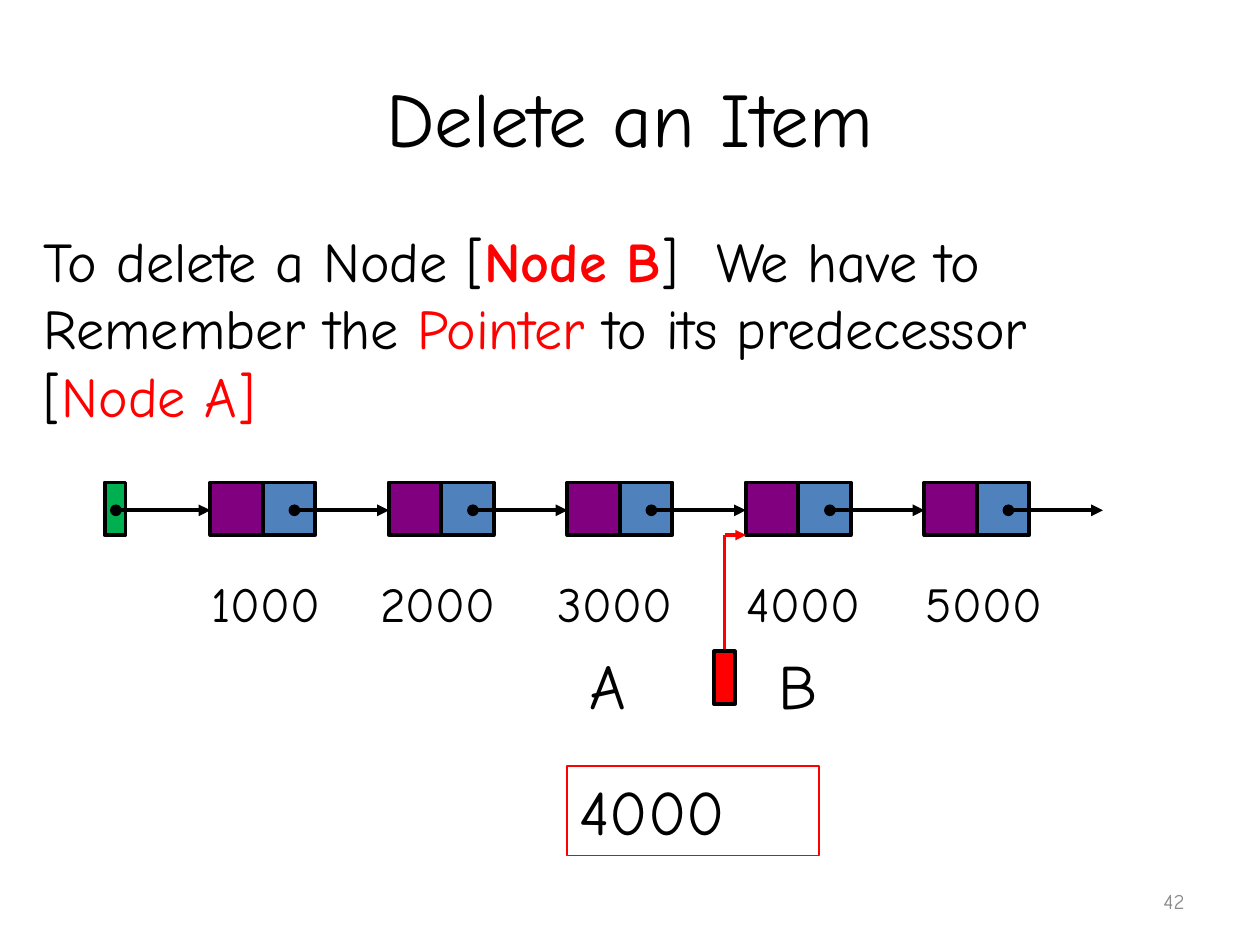
"""Builds a slide on deleting an item from a linked list."""
from lxml import etree
from pptx import Presentation
from pptx.dml.color import RGBColor
from pptx.enum.shapes import MSO_CONNECTOR, MSO_SHAPE
from pptx.enum.text import MSO_ANCHOR, PP_ALIGN
from pptx.oxml.ns import qn
from pptx.util import Inches, Pt

RECTANGLE = MSO_SHAPE.RECTANGLE
STRAIGHT = MSO_CONNECTOR.STRAIGHT
LEFT, CENTER, RIGHT = PP_ALIGN.LEFT, PP_ALIGN.CENTER, PP_ALIGN.RIGHT
TOP, MIDDLE = MSO_ANCHOR.TOP, MSO_ANCHOR.MIDDLE

THEME = {
    "font": "Comic Neue",
    "black": "000000", "red": "FF0000", "gray": "8C8C8C",
    "data": "800080", "link": "4F81BD", "start": "00B050",
    "title": 44, "body": 32, "letter": 36, "address": 28, "number": 12,
    "outline": 2.25, "pointer": 2, "frame": 0.75,
}

TITLE = "Delete an Item"
EXPLANATION = [
    ("To delete a Node [", "black", False),
    ("Node B", "red", True),
    ("]  We have to Remember the ", "black", False),
    ("Pointer", "red", False),
    (" to its predecessor [", "black", False),
    ("Node A]", "red", False),
]
ADDRESSES = [("1000", 1.58), ("2000", 2.92), ("3000", 4.33), ("4000", 5.83), ("5000", 7.25)]
LETTERS = [("A", 4.58, 0.75), ("B", 6.08, 1.25)]
STORED_ADDRESS = "4000"
PAGE_NUMBER = "42"

CELL = 5 / 12
SLIM = CELL * 0.4
FIRST_NODE, NODE_STEP, NODE_TOP = 1.67, 17 / 12, 3.83
ARROW_Y, ARROW_LENGTH = 4.05, 0.75
POINTER_X, POINTER_TOP = 5.75, 5.17
TARGET = 3

deck = Presentation()
deck.slide_width, deck.slide_height = Inches(10), Inches(7.5)
page = deck.slides.add_slide(deck.slide_layouts[6])


def color(name):
    return RGBColor.from_string(THEME[name])


def write(box, spans, size, align=LEFT, anchor=TOP):
    frame = box.text_frame
    frame.word_wrap = True
    frame.vertical_anchor = anchor
    para = frame.paragraphs[0]
    para.alignment = align
    for text, ink, bold in spans:
        span = para.add_run()
        span.text = text
        span.font.name = THEME["font"]
        span.font.size = Pt(THEME[size])
        span.font.bold = bold
        span.font.color.rgb = color(ink)


def add_text(area, text, size, ink="black", align=LEFT, anchor=TOP):
    box = page.shapes.add_textbox(*map(Inches, area))
    spans = [(text, ink, False)] if isinstance(text, str) else text
    write(box, spans, size, align, anchor)


def add_box(area, fill=None, ink="black", weight="outline"):
    box = page.shapes.add_shape(RECTANGLE, *map(Inches, area))
    box.shadow.inherit = False
    if fill:
        box.fill.solid()
        box.fill.fore_color.rgb = color(fill)
    else:
        box.fill.background()
    box.line.color.rgb = color(ink)
    box.line.width = Pt(THEME[weight])
    return box


def add_line(start, end, ink="black", weight="outline", head=None, tail=None):
    line = page.shapes.add_connector(STRAIGHT, *map(Inches, (*start, *end)))
    line.line.color.rgb = color(ink)
    line.line.width = Pt(THEME[weight])
    outline = line.line._get_or_add_ln()
    for tag, kind in (("a:headEnd", head), ("a:tailEnd", tail)):
        if kind:
            etree.SubElement(outline, qn(tag)).set("type", kind)
    etree.SubElement(line._element.spPr, qn("a:effectLst"))


add_text((0.5, 0.3, 9, 1.25), TITLE, "title", align=CENTER, anchor=MIDDLE)

node_lefts = [FIRST_NODE + index * NODE_STEP for index in range(len(ADDRESSES))]
for left in node_lefts:
    add_box((left + CELL, NODE_TOP, CELL, CELL), "link")
    add_box((left, NODE_TOP, CELL, CELL), "data")
add_box((0.83, NODE_TOP, SLIM, CELL), "start")

for left in [FIRST_NODE - NODE_STEP] + node_lefts:
    tip = left + NODE_STEP
    add_line((tip - ARROW_LENGTH, ARROW_Y), (tip, ARROW_Y), head="oval", tail="triangle")

for address, left in ADDRESSES:
    add_text((left, 4.5, 1.42, 0.57), address, "address")

corner = (POINTER_X, NODE_TOP + CELL)
add_line((POINTER_X, POINTER_TOP), corner, "red", "pointer")
add_box((POINTER_X - SLIM / 2, POINTER_TOP, SLIM, CELL), "red")
add_line(corner, (node_lefts[TARGET], corner[1]), "red", "pointer", tail="triangle")

stored = add_box((4.5, 6.08, 2, 0.71), ink="red", weight="frame")
write(stored, [(STORED_ADDRESS, "black", False)], "letter")
for letter, left, width in LETTERS:
    add_text((left, 5.08, width, 0.71), letter, "letter")

add_text((0.25, 1.75, 9, 1.72), EXPLANATION, "body")
add_text((7.17, 6.95, 2.33, 0.4), PAGE_NUMBER, "number", "gray", RIGHT, MIDDLE)

deck.save("out.pptx")
